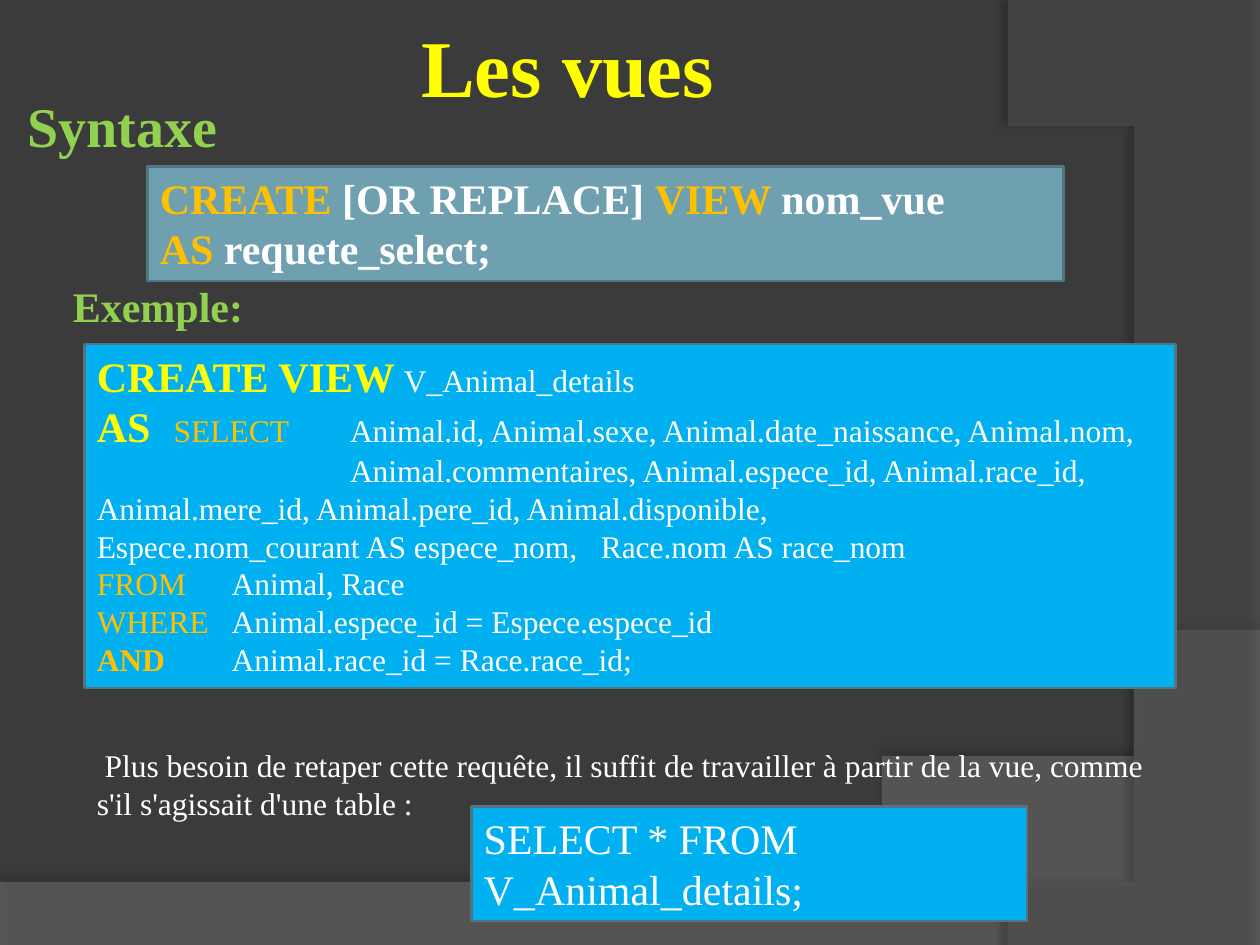
from dataclasses import dataclass
from lxml import etree
from pptx import Presentation
from pptx.dml.color import RGBColor
from pptx.enum.shapes import MSO_SHAPE as Preset
from pptx.enum.text import MSO_ANCHOR as Anchor, MSO_AUTO_SIZE as AutoSize, PP_ALIGN as Align
from pptx.oxml.ns import qn
from pptx.util import Inches, Pt


@dataclass(frozen=True)
class Theme:
    font: str = "Times New Roman"
    background: str = "3B3B3B"
    wave: str = "7F7F7F"
    arc: str = "5E5E5E"
    shadow: str = "000000"
    white: str = "FFFFFF"
    yellow: str = "FFFF00"
    keyword: str = "FFC000"
    heading: str = "92D050"
    teal: str = "6EA0B0"
    blue: str = "00B0F0"
    border: str = "517682"
    title_size: int = 46
    heading_size: int = 32
    code_size: int = 24
    gap_size: int = 20
    body_size: int = 18


theme = Theme()


def color(code):
    return RGBColor.from_string(code)


def style(span, code, size, bold=False):
    span.font.name = theme.font
    span.font.size = Pt(size)
    span.font.bold = bold
    span.font.color.rgb = color(code)


def set_tabs(para, stops):
    tabs = etree.SubElement(para._p.get_or_add_pPr(), qn("a:tabLst"))
    for stop in stops:
        etree.SubElement(tabs, qn("a:tab"), pos=str(Inches(stop)), algn="l")


def write(frame, lines, size, bold=False, tabs=()):
    for index, line in enumerate(lines):
        para = frame.paragraphs[0] if index == 0 else frame.add_paragraph()
        para.alignment = Align.LEFT
        if index < len(tabs) and tabs[index]:
            set_tabs(para, tabs[index])
        for text, code, *custom in line:
            for row, part in enumerate(text.split("\n")):
                if row:
                    para.add_line_break()
                span = para.add_run()
                span.text = part
                style(span, code, *(custom or (size, bold)))


def add_text(page, box, lines, size, bold=False, wrap=True):
    area = page.shapes.add_textbox(*map(Inches, box))
    frame = area.text_frame
    frame.word_wrap = wrap
    frame.auto_size = AutoSize.SHAPE_TO_FIT_TEXT
    write(frame, lines, size, bold)


def add_code(page, box, fill, lines, size, bold=False, tabs=()):
    panel = page.shapes.add_shape(Preset.RECTANGLE, *map(Inches, box))
    panel.shadow.inherit = False
    panel.fill.solid()
    panel.fill.fore_color.rgb = color(fill)
    panel.line.color.rgb = color(theme.border)
    panel.line.width = Pt(1.5)
    frame = panel.text_frame
    frame.word_wrap = True
    frame.auto_size = AutoSize.SHAPE_TO_FIT_TEXT
    frame.vertical_anchor = Anchor.TOP
    write(frame, lines, size, bold, tabs)


def curve(start, first, second, end, steps=40):
    points = []
    for step in range(1, steps + 1):
        t = step / steps
        weights = ((1 - t) ** 3, 3 * t * (1 - t) ** 2, 3 * t * t * (1 - t), t ** 3)
        points.append(tuple(
            sum(w * p[axis] for w, p in zip(weights, (start, first, second, end)))
            for axis in (0, 1)))
    return points


def add_swoosh(page, points, fill, opacity, shade, distance, direction):
    builder = page.shapes.build_freeform(*points[0], scale=Inches(1))
    builder.add_line_segments(points[1:], close=True)
    swoosh = builder.convert_to_shape()
    swoosh.shadow.inherit = False
    swoosh.line.fill.background()
    swoosh.fill.solid()
    swoosh.fill.fore_color.rgb = color(fill)
    properties = swoosh.element.spPr
    tint = properties.find(qn("a:solidFill")).find(qn("a:srgbClr"))
    etree.SubElement(tint, qn("a:alpha"), val=str(opacity * 1000))
    shadow = etree.SubElement(
        properties.find(qn("a:effectLst")), qn("a:outerShdw"), blurRad=str(Pt(4)),
        dist=str(Pt(distance)), dir=str(direction * 60000), algn="ctr", rotWithShape="0")
    dark = etree.SubElement(shadow, qn("a:srgbClr"), val=theme.shadow)
    etree.SubElement(dark, qn("a:alpha"), val=str(shade * 1000))


def add_backdrop(page, box):
    left, top, width, height = box
    right, bottom = left + width, top + height
    page.background.fill.solid()
    page.background.fill.fore_color.rgb = color(theme.background)
    crest = (right, top + 5.2)
    wave = [(left, top + 7.05), (left, bottom), (right, bottom), crest]
    wave += curve(crest, (left + 5.59, top + 7.29), (left + 3.91, top + 7.19), wave[0])
    add_swoosh(page, wave, theme.wave, 45, 35, 3.5, 270)
    foot = (left + 8.21, bottom)
    arc = [(right, top + 0.02), (right, bottom), foot]
    arc += curve(foot, (left + 9.35, top + 6.19), (left + 10.18, top + 3), (left + 8, top))
    add_swoosh(page, arc, theme.arc, 40, 45, 4, 180)


def add_title(page, box, text):
    title = page.shapes.title
    title.left, title.top, title.width, title.height = map(Inches, box)
    frame = title.text_frame
    frame.text = text
    frame.vertical_anchor = Anchor.MIDDLE
    frame.margin_left = frame.margin_right = Inches(0.05)
    frame.margin_top = frame.margin_bottom = Inches(0.05)
    para = frame.paragraphs[0]
    para.alignment = Align.CENTER
    style(para.runs[0], theme.yellow, theme.title_size, True)
    title.element.getparent().append(title.element)


def add_syntax(page, box):
    left, top, width, height = box
    add_code(page, (left + 1.05, top + 0.64, width - 1.05, height - 0.64), theme.teal, [
        [("CREATE", theme.keyword), (" [OR REPLACE] ", theme.white),
         ("VIEW ", theme.keyword), ("nom_vue", theme.white)],
        [("AS ", theme.keyword), ("requete_select;", theme.white)],
    ], theme.code_size, True)
    add_text(page, (left, top, 1.83, 0.64), [[("Syntaxe ", theme.heading)]],
             theme.heading_size, True, wrap=False)


def add_example(page, box):
    left, top, width, height = box
    strong = (theme.yellow, theme.code_size, True)
    columns = ("Animal.id, Animal.sexe, Animal.date_naissance, Animal.nom,\n"
               "\t\tAnimal.commentaires, Animal.espece_id, Animal.race_id, "
               "Animal.mere_id, Animal.pere_id, Animal.disponible,\n"
               "Espece.nom_courant AS espece_nom,\tRace.nom AS race_nom")
    clause = (1.07,)
    add_code(page, (left + 0.19, top + 0.55, width - 0.19, height - 0.55), theme.blue, [
        [("CREATE VIEW", *strong), (" ", theme.yellow, theme.gap_size),
         ("V_Animal_details", theme.white)],
        [("AS", *strong), ("\tSELECT\t", theme.keyword), (columns, theme.white)],
        [("FROM\t", theme.keyword), ("Animal, Race ", theme.white)],
        [("WHERE\t", theme.keyword), ("Animal.espece_id = Espece.espece_id", theme.white)],
        [("AND\t", theme.keyword, theme.body_size, True),
         ("Animal.race_id = Race.race_id;", theme.white)],
    ], theme.body_size, tabs=((), (0.61, 2.01, 4), clause, clause, clause))
    add_text(page, (left, top, 1.57, 0.5), [[("Exemple:", theme.heading)]],
             theme.code_size, True, wrap=False)


def add_usage(page, box):
    left, top, width, height = box
    note = ("\u00a0Plus besoin de retaper cette requête, il suffit de travailler "
            "à partir de la vue, comme s'il s'agissait d'une table :")
    add_text(page, (left, top, width, 0.71), [[(note, theme.white)]], theme.body_size)
    add_code(page, (left + 3.07, top + 0.53, 4.41, height - 0.53), theme.blue,
             [[("SELECT * FROM V_Animal_details;", theme.white)]], theme.code_size)


deck = Presentation()
deck.slide_width, deck.slide_height = Inches(10), Inches(7.5)
page = deck.slides.add_slide(deck.slide_layouts[5])
add_backdrop(page, (0, 0, 10, 7.5))
add_title(page, (0.5, -0.11, 8.17, 1.25), "Les vues ")
add_syntax(page, (0.12, 0.68, 8.32, 1.55))
add_example(page, (0.48, 2.18, 8.85, 3.28))
add_usage(page, (0.67, 5.87, 8.66, 1.44))
deck.save("out.pptx")
